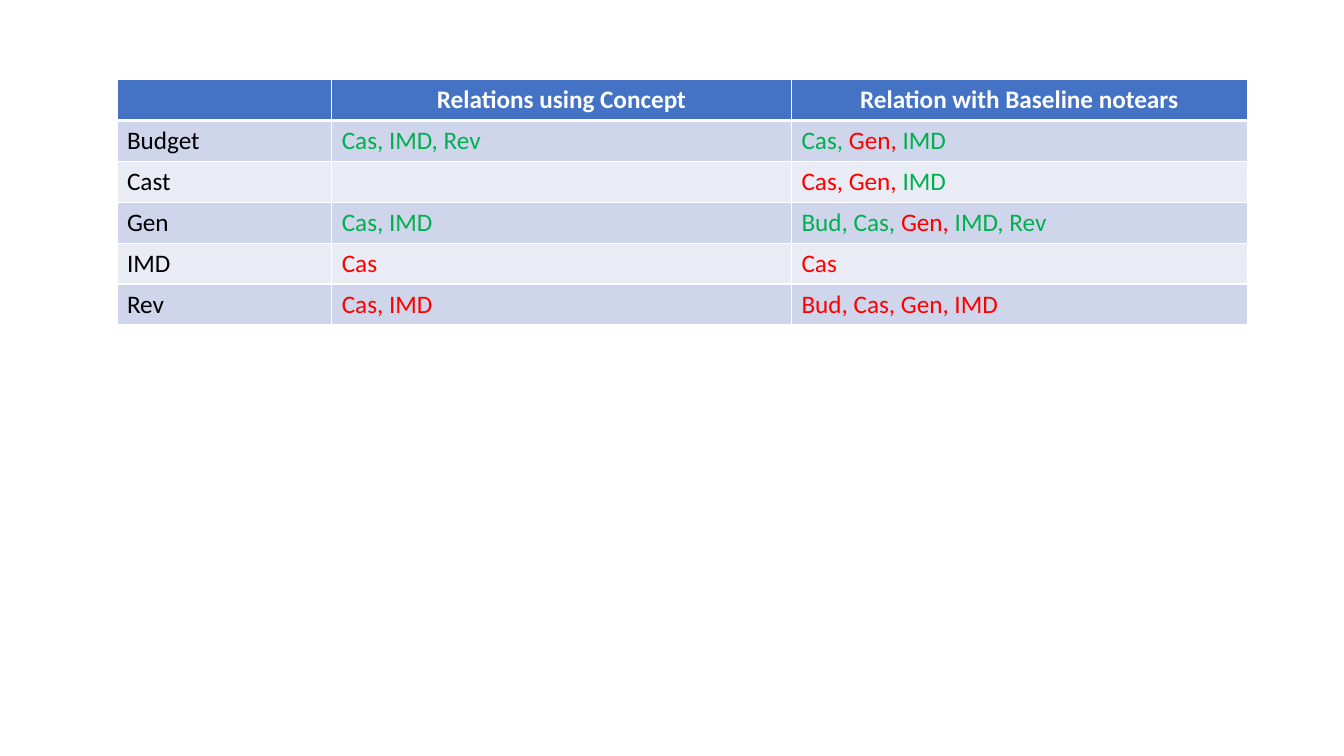
import lxml.etree
import pptx
import pptx.dml.color
import pptx.enum.text
import pptx.oxml.ns
import pptx.util

Inches = pptx.util.Inches

WHITE, BLACK, GREEN, RED = "FFFFFF", "000000", "00B050", "FF0000"
HEADER_FILL = "4472C4"
BAND_FILLS = ["CFD5EA", "E9EBF5"]

COLUMN_WIDTHS = [2.13, 4.56, 4.52]
ROW_HEIGHT = 0.405
HEADINGS = ["", "Relations using Concept", "Relation with Baseline notears"]
# Each row: variable, relations using concept, relations with baseline
RELATIONS = [
    ("Budget", [("Cas, IMD, Rev", GREEN)],
     [("Cas, ", GREEN), ("Gen, ", RED), ("IMD", GREEN)]),
    ("Cast", [], [("Cas, Gen, ", RED), ("IMD", GREEN)]),
    ("Gen", [("Cas, IMD", GREEN)],
     [("Bud, Cas, ", GREEN), ("Gen, ", RED), ("IMD, Rev", GREEN)]),
    ("IMD", [("Cas", RED)], [("Cas", RED)]),
    ("Rev", [("Cas, IMD", RED)], [("Bud, Cas, Gen, IMD", RED)]),
]


def rgb(value):
    return pptx.dml.color.RGBColor.from_string(value)


def set_borders(cell, top=1, bottom=1):
    """Draw white cell borders; widths are in points."""
    qn = pptx.oxml.ns.qn
    properties = cell._tc.get_or_add_tcPr()
    for side, width in (("L", 1), ("R", 1), ("T", top), ("B", bottom)):
        line = lxml.etree.SubElement(properties, qn(f"a:ln{side}"),
                                     w=str(pptx.util.Pt(width)))
        fill = lxml.etree.SubElement(line, qn("a:solidFill"))
        lxml.etree.SubElement(fill, qn("a:srgbClr"), val=WHITE)


def fill_cell(cell, spans, fill, bold=False):
    cell.fill.solid()
    cell.fill.fore_color.rgb = rgb(fill)
    para = cell.text_frame.paragraphs[0]
    if bold:
        para.alignment = pptx.enum.text.PP_ALIGN.CENTER
    for text, color in spans:
        span = para.add_run()
        span.text = text
        span.font.name = "Calibri"
        span.font.size = pptx.util.Pt(18)
        span.font.bold = bold
        span.font.color.rgb = rgb(color)


def add_relations_table(page):
    row_count = len(RELATIONS) + 1
    table = page.shapes.add_table(
        row_count, len(COLUMN_WIDTHS), Inches(1.16), Inches(0.79),
        Inches(sum(COLUMN_WIDTHS)), Inches(ROW_HEIGHT * row_count)).table
    for column, width in zip(table.columns, COLUMN_WIDTHS):
        column.width = Inches(width)
    for row in table.rows:
        row.height = Inches(ROW_HEIGHT)

    for column, heading in enumerate(HEADINGS):
        cell = table.cell(0, column)
        set_borders(cell, bottom=3)
        fill_cell(cell, [(heading, WHITE)] if heading else [], HEADER_FILL, bold=True)

    for row, (variable, concept, baseline) in enumerate(RELATIONS, start=1):
        for column, spans in enumerate([[(variable, BLACK)], concept, baseline]):
            cell = table.cell(row, column)
            set_borders(cell, top=3 if row == 1 else 1)
            fill_cell(cell, spans, BAND_FILLS[(row - 1) % 2])


def main():
    deck = pptx.Presentation()
    deck.slide_width, deck.slide_height = Inches(13.33), Inches(7.5)
    page = deck.slides.add_slide(deck.slide_layouts.get_by_name("Blank"))
    add_relations_table(page)
    deck.save("out.pptx")


if __name__ == "__main__":
    main()
